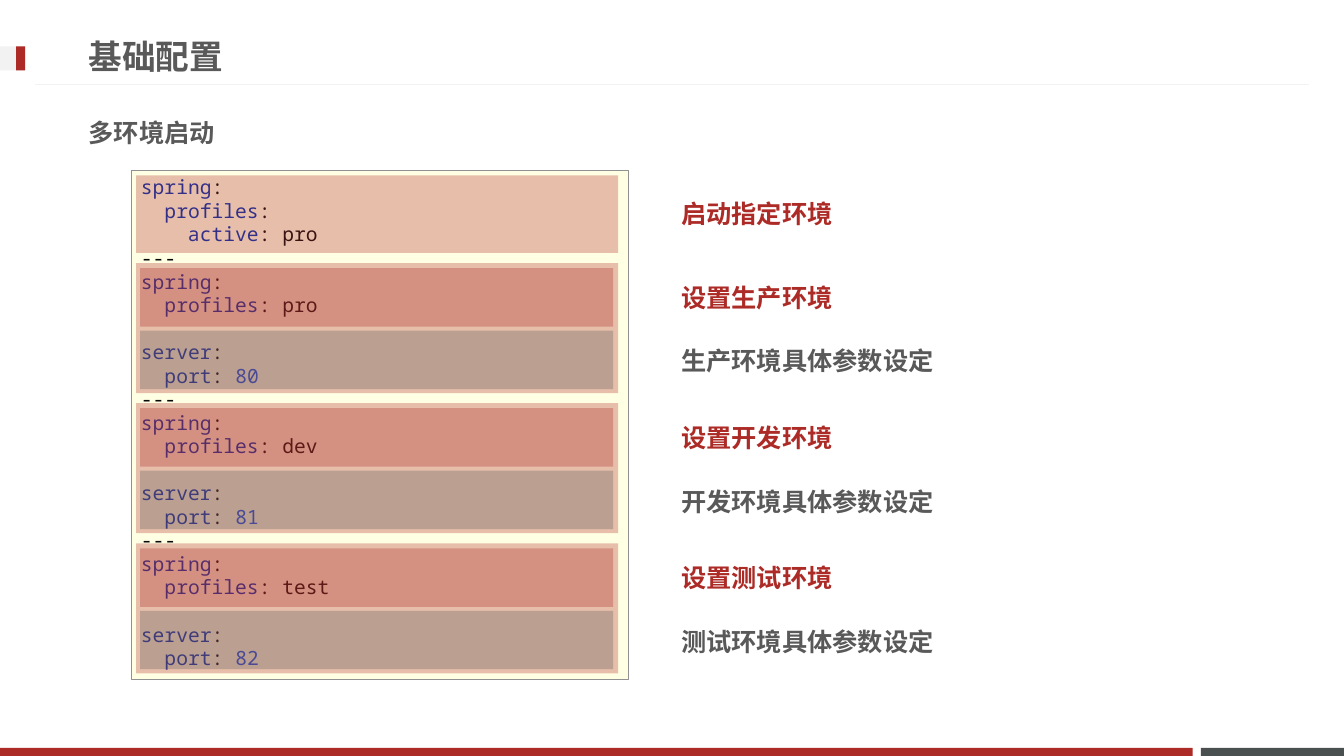
from pptx import Presentation
from pptx.dml.color import RGBColor
from pptx.enum import shapes, text
from pptx.oxml import ns, xmlchemy
from pptx.util import Inches, Pt

FONT = "Noto Sans Mono"
RED, GREY, PALE = "AD2B26", "595959", "F2F2F2"
KEY, PLAIN, NUMBER = "0033B3", "080808", "1750EB"
LINE_HEIGHT = 16.8
ENVIRONMENTS = [("生产", "pro", "80"), ("开发", "dev", "81"), ("测试", "test", "82")]


def rgb(color):
    """Turn a hex string into a colour."""
    return RGBColor.from_string(color)


def add_child(parent, tag, **attrs):
    """Append an XML element with the given attributes."""
    child = xmlchemy.OxmlElement(tag)
    for name, value in attrs.items():
        child.set(name, str(value))
    parent.append(child)


def add_rect(s, box, fill, alpha=None):
    """Add a plain rectangle, see-through when alpha is a percentage."""
    sp = s.shapes.add_shape(shapes.MSO_SHAPE.RECTANGLE, *map(Inches, box))
    sp.shadow.inherit = False
    sp.fill.solid()
    sp.fill.fore_color.rgb = rgb(fill)
    sp.line.fill.background()
    if alpha:
        color = sp.fill._xPr.find(ns.qn("a:solidFill"))[0]
        add_child(color, "a:alpha", val=alpha * 1000)
    return sp


def add_rule(s, x1, x2, y):
    """Add a thin horizontal line."""
    cxn = s.shapes.add_connector(shapes.MSO_CONNECTOR.STRAIGHT,
                                 *map(Inches, (x1, y, x2, y)))
    cxn.line.color.rgb = rgb(PALE)
    cxn.line.width = Pt(0.75)
    add_child(cxn._element.spPr, "a:effectLst")


def add_run(p, words, color, size, bold=False):
    """Add a formatted run to a paragraph."""
    r = p.add_run()
    r.text = words
    for name, value in {"size": Pt(size), "bold": bold, "name": FONT}.items():
        setattr(r.font, name, value)
    r.font.color.rgb = rgb(color)
    add_child(r._r.get_or_add_rPr(), "a:ea", typeface=FONT)


def set_frame(tf, wrap=True, anchor=text.MSO_ANCHOR.MIDDLE):
    """Set wrapping and anchor of a text frame."""
    layout = {"auto_size": text.MSO_AUTO_SIZE.NONE, "word_wrap": wrap,
              "vertical_anchor": anchor}
    for name, value in layout.items():
        setattr(tf, name, value)


def fill_placeholder(sp, box, words, size):
    """Move a placeholder and write one bold line without a bullet."""
    for name, value in zip(("left", "top", "width", "height"), box):
        setattr(sp, name, Inches(value))
    set_frame(sp.text_frame)
    p = sp.text_frame.paragraphs[0]
    p.alignment = text.PP_ALIGN.LEFT
    pPr = p._p.get_or_add_pPr()
    pPr.set("marL", "0")
    pPr.set("indent", "0")
    add_child(pPr, "a:buNone")
    add_run(p, words, GREY, size, True)


def add_label(s, top, width, words, color):
    """Add a bold explanation beside the code."""
    box = map(Inches, (6.66, top, width, 0.4))
    tf = s.shapes.add_textbox(*box).text_frame
    set_frame(tf, wrap=False)
    add_run(tf.paragraphs[0], words, color, 18, True)


def code_lines():
    """List the YAML lines as level, key, value and gap before."""
    lines = [(0, "spring", "", 0), (1, "profiles", "", 0), (2, "active", "pro", 0)]
    for _, profile, port in ENVIRONMENTS:
        lines += [(0, "", "---", 0),
                  (0, "spring", "", 0), (1, "profiles", profile, 0),
                  (0, "server", "", LINE_HEIGHT), (1, "port", port, 0)]
    return lines


def add_code(s):
    """Add the code box with coloured YAML text."""
    sp = add_rect(s, (1.3, 1.69, 4.93, 5.05), "FFFFE4")
    sp.line.color.rgb = rgb("919191")
    sp.line.width = Pt(0.25)
    tf = sp.text_frame
    set_frame(tf, anchor=text.MSO_ANCHOR.TOP)
    for i, (level, key, value, gap) in enumerate(code_lines()):
        p = tf.add_paragraph() if i else tf.paragraphs[0]
        spacing = {"alignment": text.PP_ALIGN.LEFT, "line_spacing": Pt(LINE_HEIGHT),
                   "space_before": Pt(gap)}
        for name, setting in spacing.items():
            setattr(p, name, setting)
        p._p.get_or_add_pPr().set("marL", str(Pt(16.8 * level)))
        if key:
            add_run(p, key, KEY, 14)
            add_run(p, ": " if value else ":", PLAIN, 14)
        if value:
            add_run(p, value, NUMBER if value.isdigit() else PLAIN, 14)


def add_environment(s, index, name):
    """Add the highlights and labels of one environment block."""
    top = 2.61 + 1.39 * index
    add_rect(s, (1.35, top, 4.78, 1.29), RED, 30)
    add_rect(s, (1.39, top + 0.05, 4.69, 0.58), RED, 30)
    add_rect(s, (1.39, top + 0.67, 4.69, 0.58), GREY, 30)
    add_label(s, top + 0.14, 1.73, f"设置{name}环境", RED)
    add_label(s, top + 0.77, 2.74, f"{name}环境具体参数设定", GREY)


def main():
    """Build the slide and save it."""
    prs = Presentation()
    prs.slide_width, prs.slide_height = Inches(13.33), Inches(7.5)
    s = prs.slides.add_slide(prs.slide_layouts[1])
    add_rect(s, (11.91, 7.42, 1.42, 0.08), "49504F")
    add_rect(s, (0, 7.42, 11.83, 0.08), RED)
    add_rule(s, 12.98, 0.35, 0.84)
    add_rect(s, (0, 0.46, 0.25, 0.24), PALE)
    add_rect(s, (0.16, 0.46, 0.09, 0.24), RED)
    fill_placeholder(s.shapes.title, (0.78, 0.27, 9.59, 0.57), "基础配置", 24)
    fill_placeholder(s.placeholders[1], (0.78, 1.03, 11.76, 0.57), "多环境启动", 18)
    add_code(s)
    add_rect(s, (1.35, 1.74, 4.78, 0.77), RED, 30)
    add_label(s, 1.92, 1.73, "启动指定环境", RED)
    for index, (name, _, _) in enumerate(ENVIRONMENTS):
        add_environment(s, index, name)
    prs.save("out.pptx")


if __name__ == "__main__":
    main()
